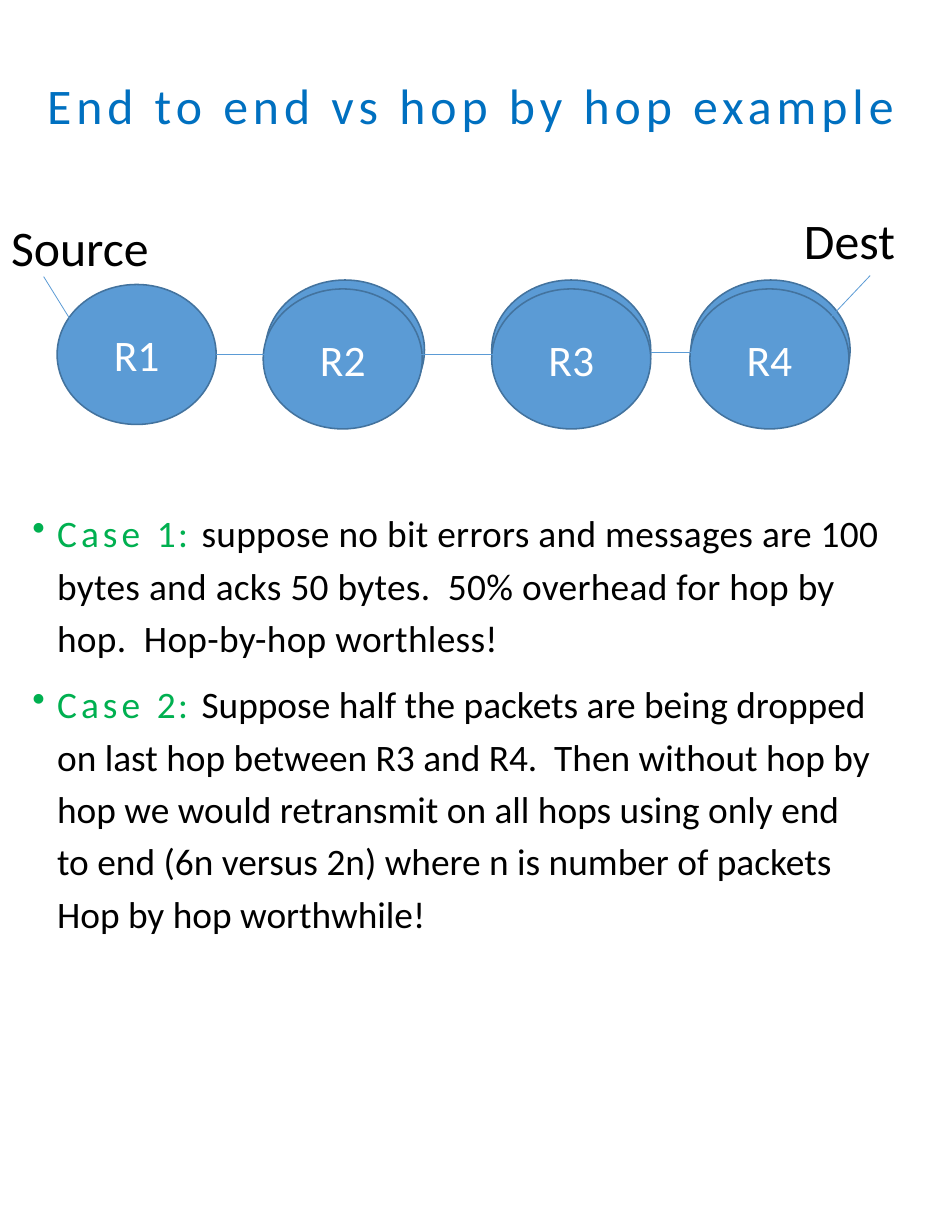
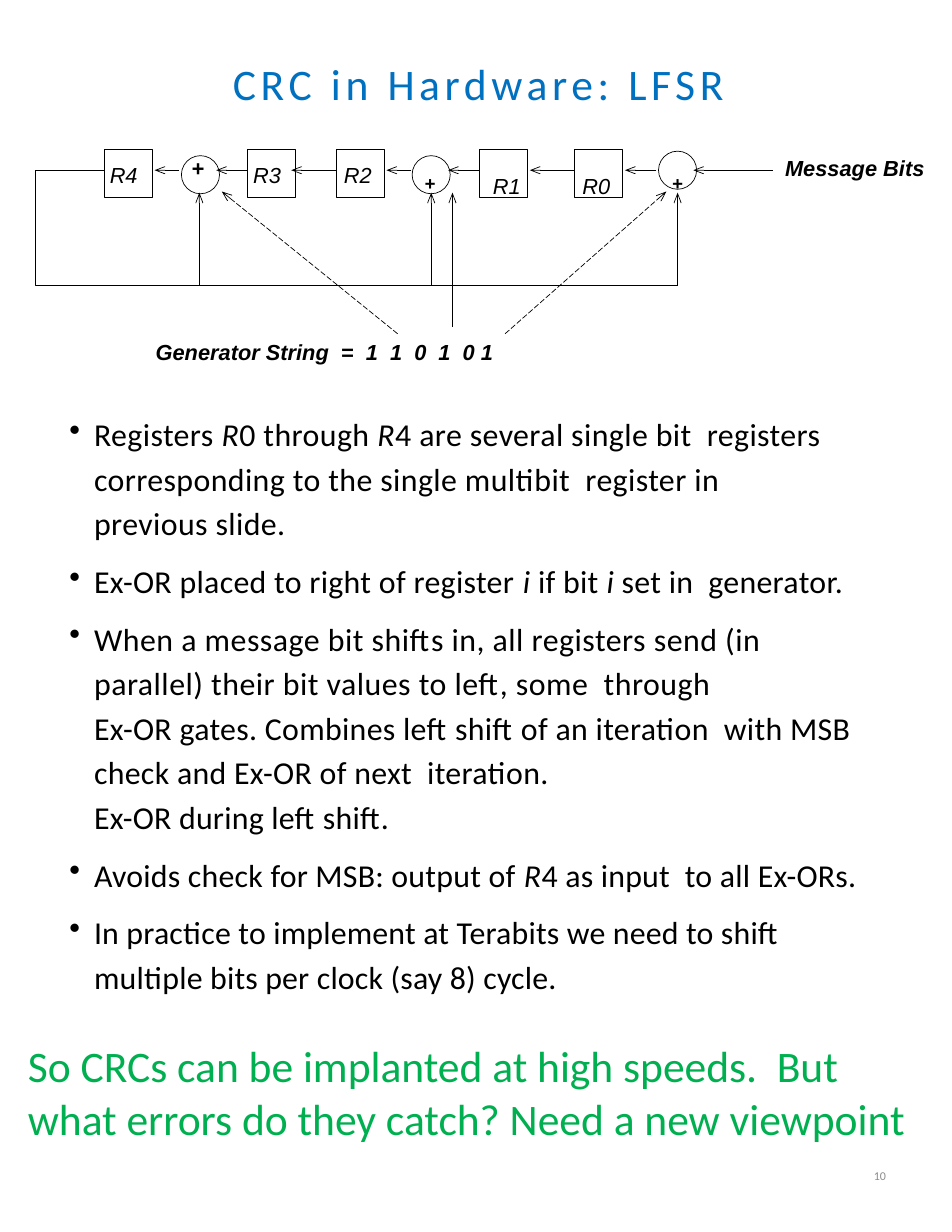
from lxml.etree import SubElement
from pptx import Presentation
from pptx.dml.color import RGBColor
from pptx.enum.dml import MSO_LINE
from pptx.enum.shapes import MSO_CONNECTOR, MSO_SHAPE
from pptx.enum.text import MSO_ANCHOR as ANCHOR, PP_ALIGN as ALIGN
from pptx.oxml.ns import qn
from pptx.util import Inches, Pt

BLUE, GREEN, BLACK, WHITE = "0070C0", "00B050", "000000", "FFFFFF"
NODE, EDGE, GREY = "5B9BD5", "43739E", "8C8C8C"
THIN = 0.44

# Slide 1: chain of routers
HOP_TITLE = "End to end vs hop by hop example"
NODE_W, NODE_H = 1.42, 1.25
BACKS = [(4.39, 2.5), (6.17, 2.5), (2.37, 2.5)]
NODES = [("R1", 0.51, 2.54), ("R2", 2.35, 2.58), ("R3", 4.39, 2.58), ("R4", 6.16, 2.58)]
ENDS = [("Dest", 7.08, 1.82), ("Source", 0, 1.89)]
LINKS = [
    (0.39, 2.47, 0.65, 2.89),
    (1.93, 3.16, 2.58, 3.16),
    (3.76, 3.16, 4.42, 3.16),
    (5.81, 3.15, 6.46, 3.15),
    (7.42, 2.83, 7.77, 2.46),
]
# number, text, letter spacing, space before, right margin
CASES = [
    ("1: ", "suppose no bit errors and messages are 100 bytes and acks 50 bytes.  "
     "50% overhead for hop by hop.  Hop-by-hop worthless!", 0.2, 0, 0),
    ("2: ", "Suppose half the packets are being dropped on last hop between R3 and R4.  "
     "Then without hop by hop we would retransmit on all hops using only end to end "
     "(6n versus 2n) where n is number of packets Hop by hop worthwhile!", 0, 8.8, 0.1),
]

# Slide 2: shift register
CRC_TITLE = "CRC in Hardware: LFSR"
BOX, GATE = 0.43, 0.34
BOX_Y, WIRE_Y, BUS_Y, TIP_Y = 1.33, 1.52, 2.55, 1.72
BOXES = [0.93, 2.21, 3, 4.28, 5.13]
GATES = [(1.62, 1.39), (3.68, 1.39), (5.88, 1.35)]
SHIFTS = [(5.86, 5.58), (5.13, 4.73), (4.28, 4), (3.67, 3.45),
          (1.6, 1.38), (3, 2.6), (6.9, 6.19), (2.21, 1.93)]
TAPS = [1.78, 3.85, 6.05]
BUS = [(0.93, WIRE_Y), (0.32, WIRE_Y), (0.32, BUS_Y), (6.05, BUS_Y)]
DASHED = [(3.55, 2.98, 1.98, 1.71), (4.51, 2.98, 5.95, 1.71)]
# text, left, top, width, size, bold
LABELS = [
    ("R4", 0.98, 1.44, 0.28, 14, False),
    ("+", 1.71, 1.38, 0.14, 14, True),
    ("R3", 2.26, 1.44, 0.28, 14, False),
    ("R2", 3.07, 1.44, 0.28, 14, False),
    ("+", 3.79, 1.53, 0.14, 12, True),
    ("R1", 4.4, 1.54, 0.28, 14, False),
    ("R0", 5.2, 1.54, 0.28, 14, False),
    ("+", 6, 1.53, 0.14, 12, True),
    ("Message Bits", 7.01, 1.38, 1.27, 14, True),
    ("Generator String  =  1  1  0  1  0 1", 1.39, 3.02, 3.07, 14, True),
]
# text (italic between stars), bullet, letter spacing, line spacing, space before, right margin
POINTS = [
    ("Registers *R*0 through *R*4 are several single bit  registers corresponding to the "
     "single multibit  register in previous slide.", True, 0.25, 1.16, 0, 0.29),
    ("Ex-OR placed to right of register *i* if bit *i* set in  generator.",
     True, 0.2, 1.16, 8.6, 0),
    ("When a message bit shifts in, all registers send (in  parallel) their bit values "
     "to left, some  through", True, 0.3, 1.17, 8.4, 0),
    ("Ex-OR gates. Combines left shift of an iteration  with MSB check and Ex-OR of "
     "next  iteration.", False, 0.2, 1.16, 0.1, 0),
    ("Ex-OR during left shift.", False, 0.15, 1, 4, 0),
    ("Avoids check for MSB: output of *R*4 as input  to all Ex-ORs.",
     True, 0.15, 1.16, 8.7, 0),
    ("In practice to implement at Terabits we need to shift multiple bits per clock "
     "(say 8) cycle.", True, 0.1, 1.16, 8.7, 0),
]
CLOSE = ("So CRCs can be implanted at high speeds.  But what errors do they catch? "
         "Need a new viewpoint")


def rgb(hue):
    return RGBColor.from_string(hue)


def style(font, size, hue=BLACK, face="Calibri", bold=False, italic=False):
    font.name, font.size, font.bold, font.italic = face, Pt(size), bold, italic
    font.color.rgb = rgb(hue)


def track(run, gap):
    """Set the letter spacing of a run, in points."""
    run._r.get_or_add_rPr().set("spc", str(round(gap * 100)))


def place(shape, x, y, w, h):
    shape.left, shape.top, shape.width, shape.height = map(Inches, (x, y, w, h))


def clear(frame):
    """Remove the insets of a text frame."""
    frame.margin_left = frame.margin_right = frame.margin_top = frame.margin_bottom = 0


def start(deck, text, size, *spot):
    """Add a title-only slide and format its title."""
    slide = deck.slides.add_slide(deck.slide_layouts[5])
    title = slide.shapes.title
    place(title, *spot)
    frame = title.text_frame
    clear(frame)
    frame.word_wrap, frame.vertical_anchor = False, ANCHOR.TOP
    para = frame.paragraphs[0]
    para.alignment = ALIGN.LEFT
    run = para.add_run()
    run.text = text
    style(para.font, size, BLUE)
    track(run, 3.2 if size > 30 else 3)
    return slide.shapes


def frame_at(shapes, x, y, w, h, tight=True):
    frame = shapes.add_textbox(*map(Inches, (x, y, w, h))).text_frame
    frame.word_wrap = True
    if tight:
        clear(frame)
    return frame


def write(frame, text, *look, **more):
    para = frame.paragraphs[0]
    para.text = text
    style(para.font, *look, **more)
    return para


def shape_at(shapes, kind, x, y, w, h, fill, hue, width):
    shape = shapes.add_shape(kind, *map(Inches, (x, y, w, h)))
    shape.shadow.inherit = False
    if fill:
        shape.fill.solid()
        shape.fill.fore_color.rgb = rgb(fill)
    else:
        shape.fill.background()
    shape.line.color.rgb, shape.line.width = rgb(hue), Pt(width)
    return shape


def line_at(shapes, x1, y1, x2, y2, hue=BLACK, width=THIN, head=True, dash=False):
    wire = shapes.add_connector(MSO_CONNECTOR.STRAIGHT, *map(Inches, (x1, y1, x2, y2)))
    wire.line.color.rgb, wire.line.width = rgb(hue), Pt(width)
    if dash:
        wire.line.dash_style = MSO_LINE.LONG_DASH
    if head:
        SubElement(wire.line._get_or_add_ln(), qn("a:tailEnd"), type="arrow", w="sm", len="med")
    SubElement(wire._element.spPr, qn("a:effectLst"))


def item(frame, first, bullet, line, before, right):
    """Add an indented paragraph, with or without a bullet."""
    para = frame.paragraphs[0] if first else frame.add_paragraph()
    para.line_spacing, para.space_before = line, Pt(before)
    props = para._p.get_or_add_pPr()
    props.set("marL", str(Inches(0.23)))
    props.set("marR", str(Inches(right)))
    props.set("indent", str(Inches(-0.22 if bullet else 0)))
    if bullet:
        SubElement(props, qn("a:buChar"), char="•")
    return para


def hop_slide(deck):
    shapes = start(deck, HOP_TITLE, 32, 0.42, 0.67, 7.63, 0.54)
    for name, x, y in [("", *spot) for spot in BACKS] + NODES:
        node = shape_at(shapes, MSO_SHAPE.OVAL, x, y, NODE_W, NODE_H, NODE, EDGE, 1)
        if name:
            node.text_frame.vertical_anchor = ANCHOR.MIDDLE
            write(node.text_frame, name, 28, WHITE).alignment = ALIGN.CENTER
    for name, x, y in ENDS:
        write(frame_at(shapes, x, y, 1.68, 0.64, False), name, 32)
    for link in LINKS:
        line_at(shapes, *link, hue=NODE, width=0.5, head=False)
    frame = frame_at(shapes, 0.28, 4.49, 7.62, 3.91)
    for i, (num, text, gap, before, right) in enumerate(CASES):
        para = item(frame, i == 0, True, 1.17, before, right)
        for part, hue, space in [("Case ", GREEN, 2.6), (num, GREEN, 1.6), (text, BLACK, gap)]:
            run = para.add_run()
            run.text = part
            style(run.font, 24, hue)
            track(run, space)


def crc_slide(deck):
    shapes = start(deck, CRC_TITLE, 28, 2.08, 0.51, 4.93, 0.47)
    for x, y in GATES:
        shape_at(shapes, MSO_SHAPE.OVAL, x, y, GATE, GATE, None, BLACK, THIN)
    for x in BOXES:
        shape_at(shapes, MSO_SHAPE.RECTANGLE, x, BOX_Y, BOX, BOX, None, BLACK, THIN)
    for x1, x2 in SHIFTS:
        line_at(shapes, x1, WIRE_Y, x2, WIRE_Y)
    for x in TAPS:
        line_at(shapes, x, BUS_Y, x, TIP_Y)
    line_at(shapes, 4.04, 2.92, 4.04, TIP_Y)
    for ends in DASHED:
        line_at(shapes, *ends, dash=True)

    path = [(Inches(x), Inches(y)) for x, y in BUS]
    pen = shapes.build_freeform(*path[0])
    pen.add_line_segments(path[1:], close=False)
    bus = pen.convert_to_shape()
    bus.shadow.inherit = False
    bus.fill.background()
    bus.line.color.rgb, bus.line.width = rgb(BLACK), Pt(THIN)

    for text, x, y, w, size, bold in LABELS:
        frame = frame_at(shapes, x, y, w, 0.25)
        frame.word_wrap = False
        write(frame, text, size, face="Arial", bold=bold, italic=True)

    frame = frame_at(shapes, 0.61, 3.65, 7.11, 5.31)
    for i, (text, bullet, gap, *room) in enumerate(POINTS):
        para = item(frame, i == 0, bullet, *room)
        for j, part in enumerate(text.split("*")):
            run = para.add_run()
            run.text = part
            style(run.font, 20.5, italic=j % 2 == 1)
            track(run, gap)

    write(frame_at(shapes, 0.15, 9.23, 8.25, 1.04, False), CLOSE, 28, GREEN)
    frame = frame_at(shapes, 6, 10.2, 1.91, 0.59)
    frame.vertical_anchor = ANCHOR.MIDDLE
    write(frame, "10", 7.7, GREY).alignment = ALIGN.RIGHT


def main():
    deck = Presentation()
    deck.slide_width, deck.slide_height = Inches(8.5), Inches(11)
    hop_slide(deck)
    crc_slide(deck)
    deck.save("out.pptx")


if __name__ == "__main__":
    main()
